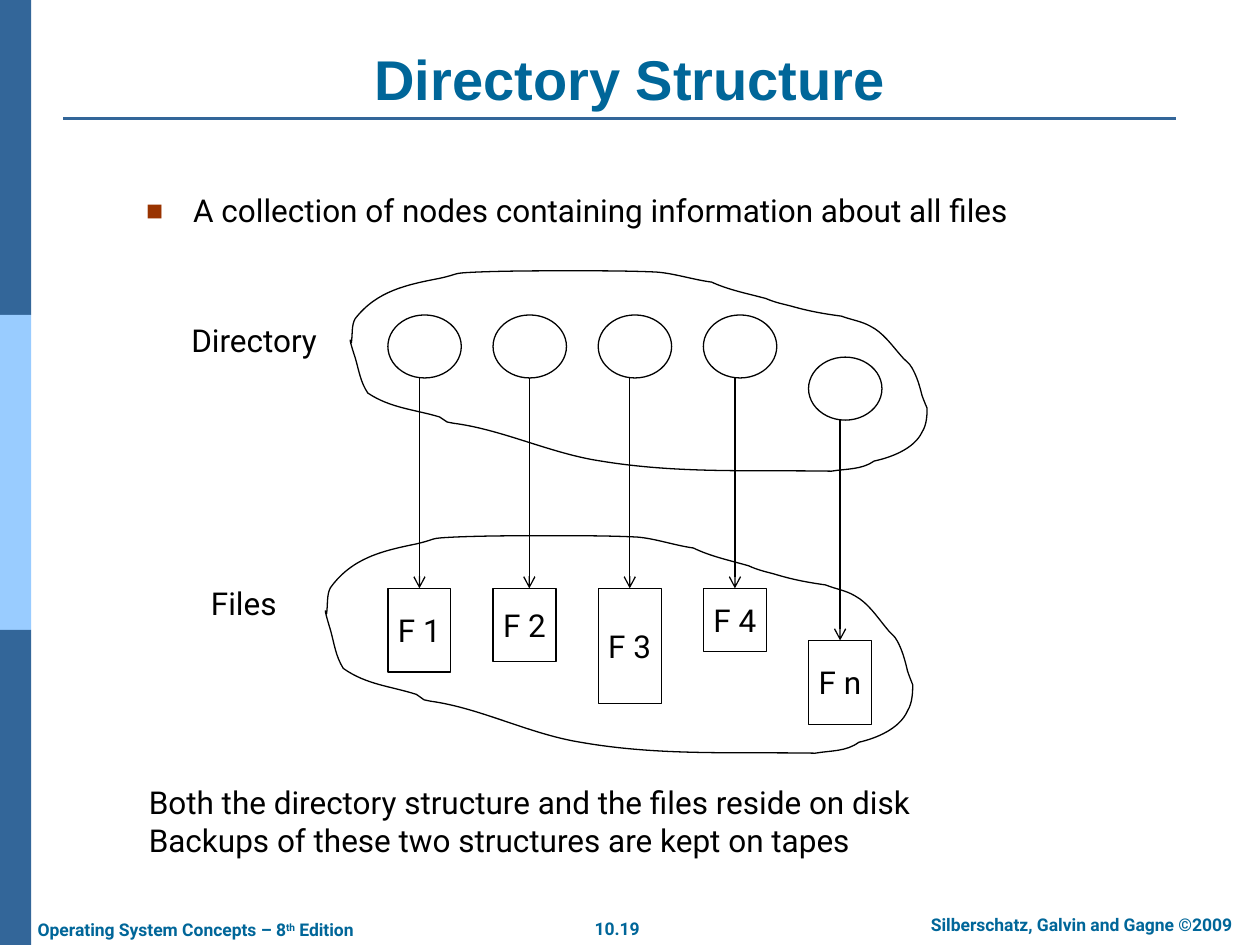
from dataclasses import dataclass
from itertools import chain

from lxml.etree import SubElement
from pptx import Presentation
from pptx.dml.color import RGBColor
from pptx.enum.shapes import MSO_CONNECTOR as Connector, MSO_SHAPE as Preset
from pptx.enum.text import MSO_ANCHOR as Anchor, MSO_AUTO_SIZE as AutoSize, PP_ALIGN as Align
from pptx.oxml.ns import qn
from pptx.util import Cm, Pt


@dataclass(frozen=True)
class Theme:
    """Colours, fonts and type sizes of the slide."""
    accent: str = "006699"
    bar: str = "336699"
    bar_light: str = "99CCFF"
    bullet: str = "993300"
    ink: str = "000000"
    paper: str = "FFFFFF"
    title_font: str = "Arial"
    text_font: str = "Roboto"
    title_size: int = 32
    text_size: int = 18
    footer_size: int = 10
    thin: float = 0.75
    rule: float = 1.5


@dataclass(frozen=True)
class Box:
    """A rectangle in centimetres."""
    left: float
    top: float
    width: float
    height: float

    def lengths(self) -> tuple:
        """Return the four values as lengths."""
        return Cm(self.left), Cm(self.top), Cm(self.width), Cm(self.height)


@dataclass(frozen=True)
class Entry:
    """A directory node and the file it points to."""
    label: str
    node_top: float
    file_top: float
    file_height: float
    arrow_x: float = 0


THEME = Theme()
ENTRY_LEFT, ENTRY_PITCH = 7.82, 2.12
NODE_WIDTH, NODE_HEIGHT, FILE_WIDTH = 1.48, 1.27, 1.27
ENTRIES = (
    Entry("F 1", 6.35, 11.86, 1.69),
    Entry("F 2", 6.35, 11.86, 1.48, arrow_x=10.67),
    Entry("F 3", 6.35, 11.86, 2.33),
    Entry("F 4", 6.35, 11.86, 1.27),
    Entry("F n", 7.2, 12.91, 1.69),
)
CLOUD_WIDTH, CLOUD_HEIGHT = 458, 161
CLOUD_START = (1, 57)
CLOUD_CURVES = (
    ((2, 50), (1, 43), (4, 38)), ((21, 16), (45, 11), (71, 6)),
    ((89, 2), (79, 2), (101, 1)), ((126, 0), (151, 0), (177, 0)),
    ((199, 0), (221, 0), (243, 1)), ((257, 2), (272, 7), (287, 9)),
    ((300, 15), (315, 18), (330, 22)), ((337, 25), (342, 26), (350, 28)),
    ((364, 32), (375, 34), (390, 36)), ((398, 39), (406, 40), (413, 44)),
    ((423, 49), (430, 59), (437, 67)), ((440, 71), (444, 73), (446, 77)),
    ((450, 84), (452, 91), (454, 99)), ((455, 102), (458, 109), (458, 109)),
    ((458, 113), (458, 122), (454, 128)), ((448, 141), (430, 148), (416, 151)),
    ((406, 158), (394, 157), (382, 159)), ((318, 158), (260, 161), (199, 151)),
    ((159, 145), (121, 126), (82, 121)), ((80, 121), (79, 120), (77, 120)),
    ((75, 119), (73, 117), (71, 116)), ((51, 110), (32, 109), (14, 97)),
    ((8, 88), (7, 79), (4, 69)), ((4, 69), (0, 57), (0, 55)),
    ((0, 54), (1, 56), (1, 57)),
)


def color(value: str) -> RGBColor:
    """Return a colour from its hex value."""
    return RGBColor.from_string(value)


def write(shape, text: str, *, size: int = THEME.text_size, font: str = THEME.text_font,
          ink: str = THEME.ink, bold: bool = False, align=Align.LEFT,
          anchor=Anchor.TOP, wrap: bool = True) -> None:
    """Fill a shape with lines of text; carets enclose superscripts."""
    frame = shape.text_frame
    frame.word_wrap, frame.vertical_anchor = wrap, anchor
    frame.auto_size = AutoSize.NONE
    for index, line in enumerate(text.split("\n")):
        paragraph = frame.add_paragraph() if index else frame.paragraphs[0]
        paragraph.alignment, paragraph.space_before = align, Pt(0)
        for part, piece in enumerate(line.split("^")):
            run = paragraph.add_run()
            run.text = piece
            run.font.name, run.font.size, run.font.bold = font, Pt(size), bold
            run.font.color.rgb = color(ink)
            if part % 2:
                list(shape.element.iter(qn("a:rPr")))[-1].set("baseline", "30000")


def add_text(slide, box: Box, text: str, **style) -> None:
    """Add a text box."""
    write(slide.shapes.add_textbox(*box.lengths()), text, **style)


def add_preset(slide, preset, box: Box, fill: str, line: str = ""):
    """Add a filled preset shape, outlined if a line colour is given."""
    shape = slide.shapes.add_shape(preset, *box.lengths())
    shape.shadow.inherit = False
    shape.fill.solid()
    shape.fill.fore_color.rgb = color(fill)
    if line:
        shape.line.color.rgb, shape.line.width = color(line), Pt(THEME.thin)
    else:
        shape.line.fill.background()
    return shape


def add_line(slide, start: tuple, end: tuple, ink: str, width: float, arrow: bool = False):
    """Add a straight connector, with an open arrowhead if asked."""
    points = (Cm(value) for value in chain(start, end))
    connector = slide.shapes.add_connector(Connector.STRAIGHT, *points)
    connector.line.color.rgb, connector.line.width = color(ink), Pt(width)
    properties = connector.element.spPr
    if arrow:
        SubElement(properties.find(qn("a:ln")), qn("a:tailEnd"), type="arrow")
    SubElement(properties, qn("a:effectLst"))
    return connector


def add_cloud(slide, box: Box) -> None:
    """Add the hand-drawn outline of Bézier curves stretched over a box."""
    places = [(Cm(box.left + x / CLOUD_WIDTH * box.width),
               Cm(box.top + y / CLOUD_HEIGHT * box.height))
              for x, y in chain([CLOUD_START], *CLOUD_CURVES)]
    builder = slide.shapes.build_freeform(*places[0])
    builder.add_line_segments(places[1:], close=True)
    shape = builder.convert_to_shape()
    shape.shadow.inherit = False
    shape.fill.background()
    shape.line.color.rgb, shape.line.width = color(THEME.ink), Pt(THEME.thin)
    segments = list(shape.element.iter(qn("a:lnTo")))
    for first, second, end in zip(segments[::3], segments[1::3], segments[2::3]):
        curve = SubElement(first.getparent(), qn("a:cubicBezTo"))
        first.addprevious(curve)
        for segment in (first, second, end):
            curve.append(segment[0])
            segment.getparent().remove(segment)


def add_entry(slide, entry: Entry, left: float) -> None:
    """Draw a node, its file and the arrow between them."""
    add_preset(slide, Preset.OVAL, Box(left, entry.node_top, NODE_WIDTH, NODE_HEIGHT),
               THEME.paper, THEME.ink)
    file = add_preset(slide, Preset.RECTANGLE,
                      Box(left, entry.file_top, FILE_WIDTH, entry.file_height),
                      THEME.paper, THEME.ink)
    write(file, entry.label, align=Align.CENTER, anchor=Anchor.MIDDLE, wrap=False)
    x = entry.arrow_x or left + FILE_WIDTH / 2
    arrow = add_line(slide, (x, entry.node_top + NODE_HEIGHT), (x, entry.file_top),
                     THEME.ink, THEME.thin, arrow=True)
    if not entry.arrow_x:
        arrow.end_connect(file, 0)


def place(shape, box: Box) -> None:
    """Move a placeholder onto a box."""
    shape.left, shape.top, shape.width, shape.height = box.lengths()


def add_bullet(shape) -> None:
    """Give the first paragraph a square bullet and a hanging indent."""
    shape.text_frame.paragraphs[0].line_spacing = 0.9
    properties = next(shape.element.iter(qn("a:pPr")))
    properties.set("marL", str(Cm(0.95)))
    properties.set("indent", str(-Cm(0.95)))
    SubElement(SubElement(properties, qn("a:buClr")), qn("a:srgbClr"), val=THEME.bullet)
    SubElement(properties, qn("a:buSzPct"), val="90000")
    SubElement(properties, qn("a:buFont"), typeface=THEME.title_font)
    SubElement(properties, qn("a:buChar"), char="■")


def main() -> None:
    """Build and save the slide."""
    presentation = Presentation()
    presentation.slide_width, presentation.slide_height = Cm(25.4), Cm(19.05)
    slide = presentation.slides.add_slide(presentation.slide_layouts[1])
    for index, fill in enumerate((THEME.bar, THEME.bar_light, THEME.bar)):
        add_preset(slide, Preset.RECTANGLE, Box(0, index * 6.35, 0.63, 6.35), fill)
    add_line(slide, (1.27, 2.39), (23.7, 2.39), THEME.bar, THEME.rule)
    footer = dict(size=THEME.footer_size, ink=THEME.accent, bold=True)
    add_text(slide, Box(11.73, 18.38, 1.42, 0.69), "10.19", align=Align.CENTER, wrap=False, **footer)
    add_text(slide, Box(18.03, 18.3, 7.54, 0.69), "Silberschatz, Galvin and Gagne ©2009",
             align=Align.CENTER, **footer)
    add_text(slide, Box(0.51, 18.4, 7.32, 0.69), "Operating System Concepts – 8^th^ Edition",
             wrap=False, **footer)

    title, body = slide.shapes.title, slide.placeholders[1]
    place(title, Box(1.27, 0.77, 22.86, 1.6))
    write(title, "Directory Structure", size=THEME.title_size, font=THEME.title_font,
          ink=THEME.accent, bold=True, align=Align.CENTER, anchor=Anchor.BOTTOM)
    place(body, Box(2.69, 3.81, 20.47, 0.99))
    write(body, "A collection of nodes containing information about all files")
    add_bullet(body)

    for index, entry in enumerate(ENTRIES):
        add_entry(slide, entry, ENTRY_LEFT + index * ENTRY_PITCH)
    add_cloud(slide, Box(7.06, 5.46, 11.63, 4.09))
    add_cloud(slide, Box(6.56, 10.8, 11.84, 4.44))
    label = dict(align=Align.CENTER, anchor=Anchor.MIDDLE, wrap=False)
    add_text(slide, Box(3.6, 6.35, 3.05, 1.02), "Directory", **label)
    add_text(slide, Box(3.99, 11.65, 1.85, 1.02), "Files", **label)
    add_text(slide, Box(2.75, 15.67, 21.11, 1.07),
             "Both the directory structure and the files reside on disk\n"
             "Backups of these two structures are kept on tapes")
    presentation.save("out.pptx")


if __name__ == "__main__":
    main()
